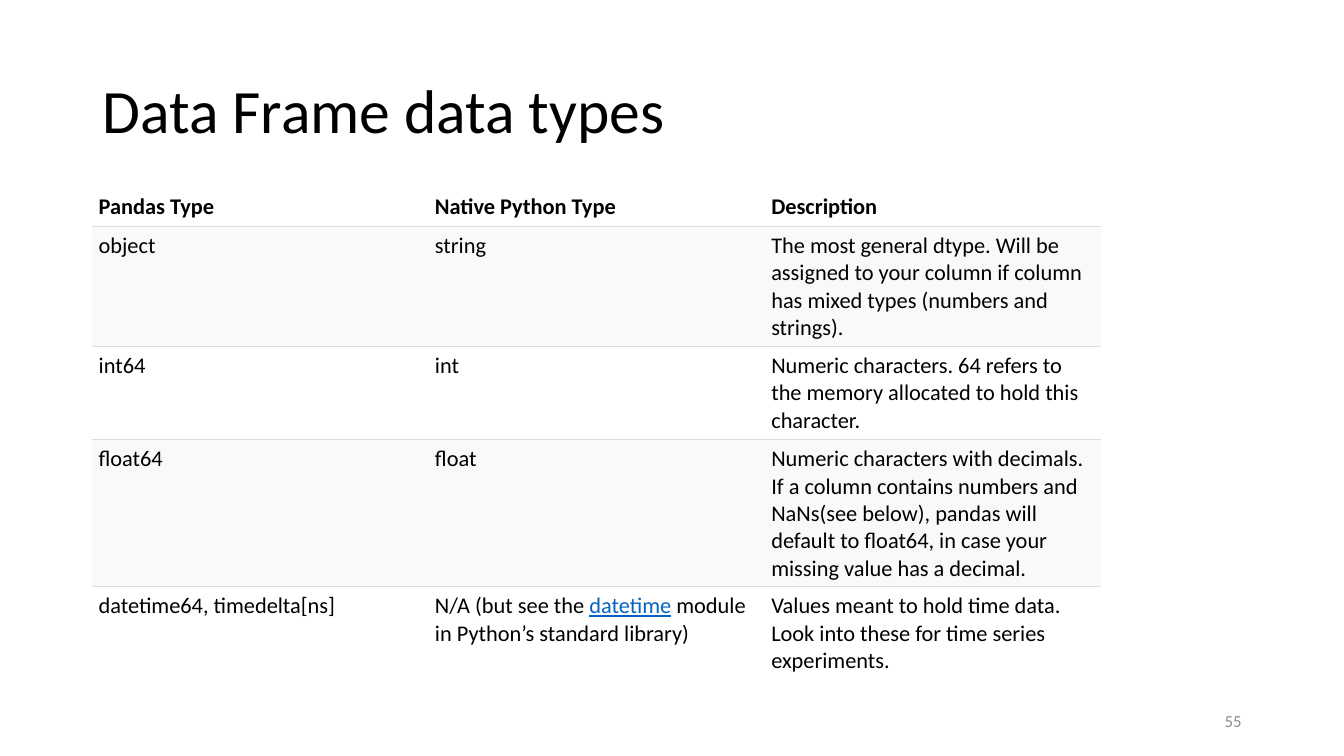
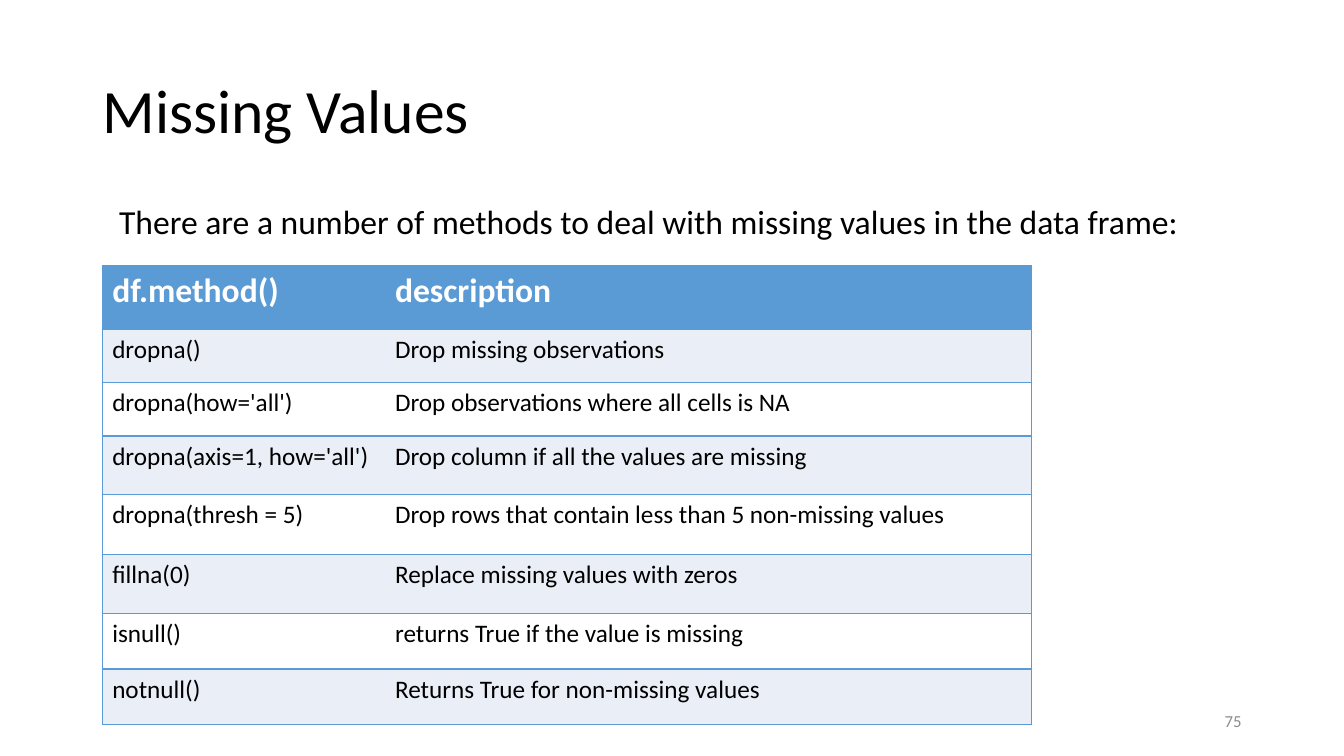
from dataclasses import dataclass

from lxml.etree import SubElement
from pptx import Presentation
from pptx.dml.color import RGBColor
from pptx.enum.text import MSO_ANCHOR as Anchor, MSO_AUTO_SIZE as AutoSize, PP_ALIGN as Align
from pptx.oxml.ns import qn
from pptx.slide import Slide
from pptx.table import _Cell as Cell
from pptx.text.text import TextFrame
from pptx.util import Pt

FONT = "Calibri"
LINK_MARK = "|"
COLORS = {
    "text": "000000",
    "paper": "FFFFFF",
    "number": "8C8C8C",
    "link": "0563C1",
    "gray_rule": "DDDDDD",
    "gray_band": "F9F9F9",
    "blue": "5B9BD5",
    "blue_band": "EAEFF7",
}


@dataclass(frozen=True)
class Box:
    left: float
    top: float
    width: float
    height: float


@dataclass(frozen=True)
class TableStyle:
    header_fill: str
    header_text: str
    header_size: float
    header_anchor: Anchor
    body_size: float
    band: str
    rule: str
    rule_width: float
    framed: bool
    inset_x: float
    inset_y: float


@dataclass(frozen=True)
class TableContent:
    left: float
    top: float
    columns: tuple[float, ...]
    heights: tuple[float, ...]
    rows: tuple[tuple[str, ...], ...]
    style: TableStyle


TITLE_BOX = Box(66, 28.8, 828, 104.4)
NUMBER_BOX = Box(678, 500.5, 216, 28.8)
INTRO_BOX = Box(78, 139.8, 820, 36)

PLAIN_STYLE = TableStyle("paper", "text", 16, Anchor.BOTTOM, 16, "gray_band",
                         "gray_rule", 0.6, False, 4.5, 4.5)
BLUE_STYLE = TableStyle("blue", "paper", 24, Anchor.TOP, 18, "blue_band",
                        "blue", 1, True, 7.2, 3.6)

DATA_TYPES = TableContent(
    66, 133.2, (240.25,) * 3, (27.5, 83.5, 64.8, 102.2, 64.8),
    (
        ("Pandas Type", "Native Python Type", "Description"),
        ("object", "string",
         "The most general dtype. Will be assigned to your column if column "
         "has mixed types (numbers and strings)."),
        ("int64", "int",
         "Numeric characters. 64 refers to the memory allocated to hold this character."),
        ("float64", "float",
         "Numeric characters with decimals. If a column contains numbers and "
         "NaNs(see below), pandas will default to float64, in case your "
         "missing value has a decimal."),
        ("datetime64, timedelta[ns]",
         "N/A (but see the\u00a0|datetime|\u00a0module in Python’s standard library)",
         "Values meant to hold time data. Look into these for time series experiments."),
    ),
    PLAIN_STYLE,
)

MISSING_METHODS = TableContent(
    73, 190, (202, 462), (45.5, 38, 38, 42, 42.5, 42.5, 39.5, 39.5),
    (
        ("df.method()", "description"),
        ("dropna()", "Drop missing observations"),
        ("dropna(how='all')", "Drop observations where all cells is NA"),
        ("dropna(axis=1, how='all')", "Drop column if all the values are missing"),
        ("dropna(thresh = 5)", "Drop rows that contain less than 5 non-missing values"),
        ("fillna(0)", "Replace missing values with zeros"),
        ("isnull()", "returns True if the value is missing"),
        ("notnull()", "Returns True for non-missing values"),
    ),
    BLUE_STYLE,
)


def rgb(color: str) -> RGBColor:
    return RGBColor.from_string(COLORS[color])


def format_runs(frame: TextFrame, size: float, color: str, bold: bool = False) -> None:
    for paragraph in frame.paragraphs:
        for run in paragraph.runs:
            run.font.name = FONT
            run.font.size = Pt(size)
            run.font.bold = bold
            run.font.color.rgb = rgb(color)


def add_title(slide: Slide, wording: str) -> None:
    title = slide.shapes.title
    title.left, title.top = Pt(TITLE_BOX.left), Pt(TITLE_BOX.top)
    title.width, title.height = Pt(TITLE_BOX.width), Pt(TITLE_BOX.height)
    frame = title.text_frame
    frame.text = wording
    frame.auto_size = AutoSize.NONE
    frame.vertical_anchor = Anchor.MIDDLE
    frame.paragraphs[0].alignment = Align.LEFT
    frame.paragraphs[0].line_spacing = 0.9
    format_runs(frame, 44, "text")


def add_label(slide: Slide, box: Box, wording: str, size: float, color: str,
              align: Align = Align.LEFT, anchor: Anchor = Anchor.TOP) -> None:
    frame = slide.shapes.add_textbox(
        Pt(box.left), Pt(box.top), Pt(box.width), Pt(box.height)).text_frame
    frame.word_wrap = True
    frame.vertical_anchor = anchor
    frame.text = wording
    frame.paragraphs[0].alignment = align
    format_runs(frame, size, color)


def draw_borders(cell: Cell, sides: dict[str, bool], style: TableStyle) -> None:
    properties = cell._tc.get_or_add_tcPr()
    for side, visible in sides.items():
        line = SubElement(properties, qn(f"a:ln{side}"), w=str(Pt(style.rule_width)))
        if visible:
            fill = SubElement(line, qn("a:solidFill"))
            SubElement(fill, qn("a:srgbClr"), val=COLORS[style.rule])
        else:
            SubElement(line, qn("a:noFill"))


def fill_cell(cell: Cell, wording: str, header: bool, banded: bool, style: TableStyle) -> None:
    cell.margin_left = cell.margin_right = Pt(style.inset_x)
    cell.margin_top = cell.margin_bottom = Pt(style.inset_y)
    cell.vertical_anchor = style.header_anchor if header else Anchor.TOP
    cell.fill.solid()
    cell.fill.fore_color.rgb = rgb(
        style.header_fill if header else style.band if banded else "paper")
    first_part, *later_parts = wording.split(LINK_MARK)
    paragraph = cell.text_frame.paragraphs[0]
    paragraph.text = first_part
    for part in later_parts:
        paragraph.add_run().text = part
    if header:
        format_runs(cell.text_frame, style.header_size, style.header_text, True)
    else:
        format_runs(cell.text_frame, style.body_size, "text")
    for linked_run in paragraph.runs[1::2]:
        linked_run.font.color.rgb = rgb("link")
        linked_run.font.underline = True


def add_content_table(slide: Slide, content: TableContent) -> None:
    style = content.style
    last_row, last_column = len(content.heights) - 1, len(content.columns) - 1
    table = slide.shapes.add_table(
        last_row + 1, last_column + 1, Pt(content.left), Pt(content.top),
        Pt(sum(content.columns)), Pt(sum(content.heights))).table
    table.horz_banding = False
    for column, width in zip(table.columns, content.columns):
        column.width = Pt(width)
    for row, height in zip(table.rows, content.heights):
        row.height = Pt(height)
    for row_index, wordings in enumerate(content.rows):
        for column_index, wording in enumerate(wordings):
            cell = table.cell(row_index, column_index)
            sides = {
                "L": style.framed and column_index == 0,
                "R": style.framed and column_index == last_column,
                "T": style.framed or row_index > 0,
                "B": style.framed or row_index < last_row,
            }
            draw_borders(cell, sides, style)
            fill_cell(cell, wording, row_index == 0, row_index % 2 == 1, style)


def add_titled_slide(deck: Presentation, title: str, number: str) -> Slide:
    slide = deck.slides.add_slide(deck.slide_layouts.get_by_name("Title Only"))
    add_title(slide, title)
    add_label(slide, NUMBER_BOX, number, 12, "number", Align.RIGHT, Anchor.MIDDLE)
    return slide


deck = Presentation()
deck.slide_width, deck.slide_height = Pt(960), Pt(540)

data_types_slide = add_titled_slide(deck, "Data Frame data types", "55")
add_content_table(data_types_slide, DATA_TYPES)

missing_values_slide = add_titled_slide(deck, "Missing Values", "75")
add_label(missing_values_slide, INTRO_BOX,
          "There are a number of methods to deal with missing values in the data frame:",
          24, "text")
add_content_table(missing_values_slide, MISSING_METHODS)

deck.save("out.pptx")
